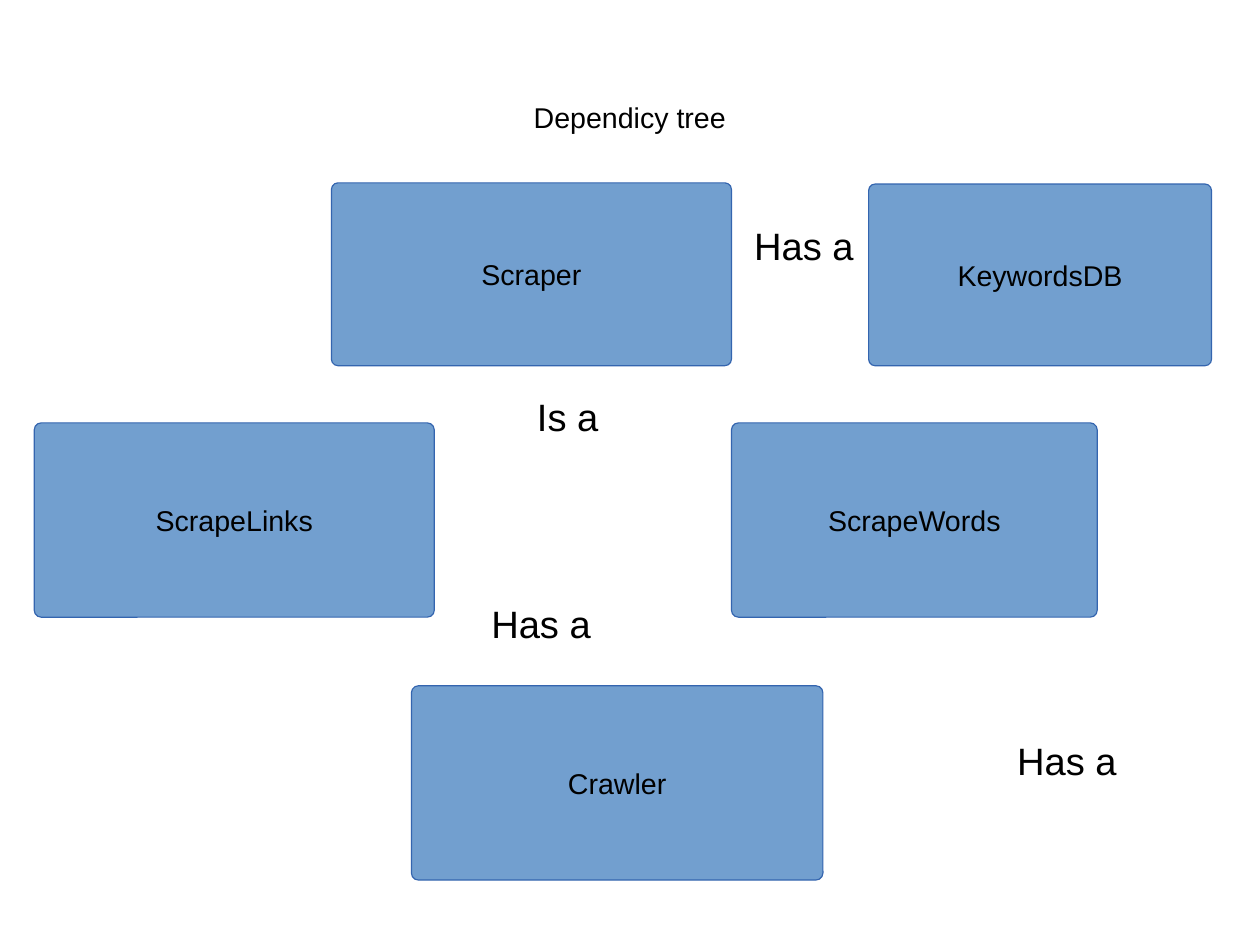
from dataclasses import dataclass

from pptx import Presentation
from pptx.dml.color import RGBColor
from pptx.enum.shapes import MSO_SHAPE
from pptx.enum.text import MSO_ANCHOR, PP_ALIGN
from pptx.util import Cm, Inches, Pt


@dataclass(frozen=True)
class Theme:
    font: str = "Arial"
    ink: RGBColor = RGBColor(0x00, 0x00, 0x00)
    fill: RGBColor = RGBColor(0x72, 0x9F, 0xCF)
    outline: RGBColor = RGBColor(0x34, 0x65, 0xAF)
    outline_width: float = 0.75
    corner: float = 0.036
    body_size: int = 18
    relation_size: int = 24


THEME = Theme()
SLIDE_WIDTH, SLIDE_HEIGHT = Cm(28), Cm(21)
UNIT = 0.1  # grid step in inches

# Class boxes: name, column, row, columns wide, rows high
CLASSES = [
    ("Scraper", 29, 16, 35, 16),
    ("ScrapeLinks", 3, 37, 35, 17),
    ("ScrapeWords", 64, 37, 32, 17),
    ("Crawler", 36, 60, 36, 17),
    ("KeywordsDB", 76, 16.1, 30, 15.9),
]

# Relation labels: wording, column, row, columns wide
RELATIONS = [
    ("Has a", 65, 19, 13),
    ("Has a", 42, 52, 14),
    ("Has a", 88, 64, 13),
    ("Is a", 46, 33.9, 10),
]
RELATION_ROWS = 5.1


def grid(*steps):
    return [Inches(step * UNIT) for step in steps]


def write_text(shape, text, size, alignment, anchor):
    frame = shape.text_frame
    frame.word_wrap = True
    frame.vertical_anchor = anchor
    paragraph = frame.paragraphs[0]
    paragraph.alignment = alignment
    run = paragraph.add_run()
    run.text = text
    run.font.name = THEME.font
    run.font.size = Pt(size)
    run.font.color.rgb = THEME.ink


def add_title(slide, text):
    shape = slide.shapes.add_textbox(*grid(5.5, 3.3, 99.2, 13.8))
    write_text(shape, text, THEME.body_size, PP_ALIGN.CENTER, MSO_ANCHOR.MIDDLE)


def add_class_box(slide, name, column, row, columns, rows):
    shape = slide.shapes.add_shape(
        MSO_SHAPE.ROUNDED_RECTANGLE, *grid(column, row, columns, rows))
    shape.adjustments[0] = THEME.corner
    shape.shadow.inherit = False
    shape.fill.solid()
    shape.fill.fore_color.rgb = THEME.fill
    shape.line.color.rgb = THEME.outline
    shape.line.width = Pt(THEME.outline_width)
    write_text(shape, name, THEME.body_size, PP_ALIGN.CENTER, MSO_ANCHOR.MIDDLE)


def add_relation(slide, text, column, row, columns):
    shape = slide.shapes.add_textbox(*grid(column, row, columns, RELATION_ROWS))
    write_text(shape, text, THEME.relation_size, PP_ALIGN.LEFT, MSO_ANCHOR.TOP)


def main():
    presentation = Presentation()
    presentation.slide_width = SLIDE_WIDTH
    presentation.slide_height = SLIDE_HEIGHT
    slide = presentation.slides.add_slide(presentation.slide_layouts[6])

    add_title(slide, "Dependicy tree")
    for class_box in CLASSES:
        add_class_box(slide, *class_box)
    for relation in RELATIONS:
        add_relation(slide, *relation)

    presentation.save("out.pptx")


if __name__ == "__main__":
    main()
